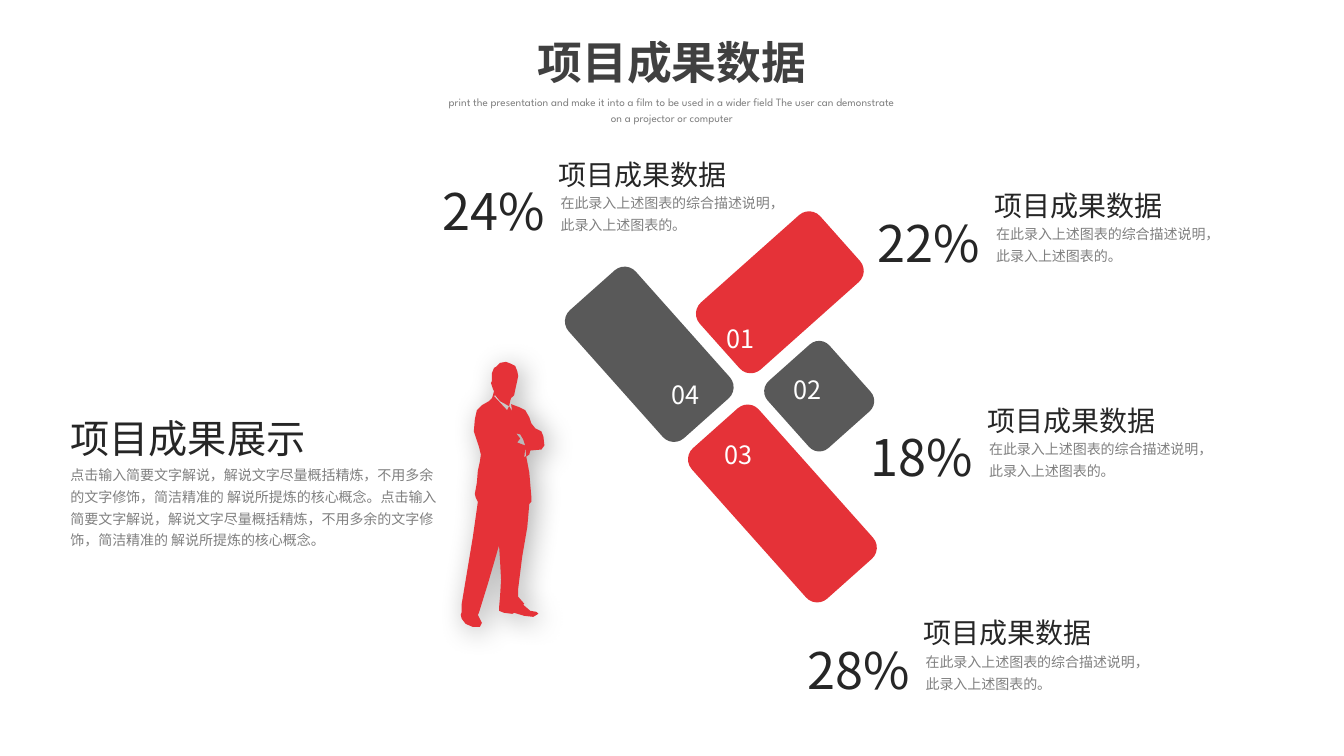
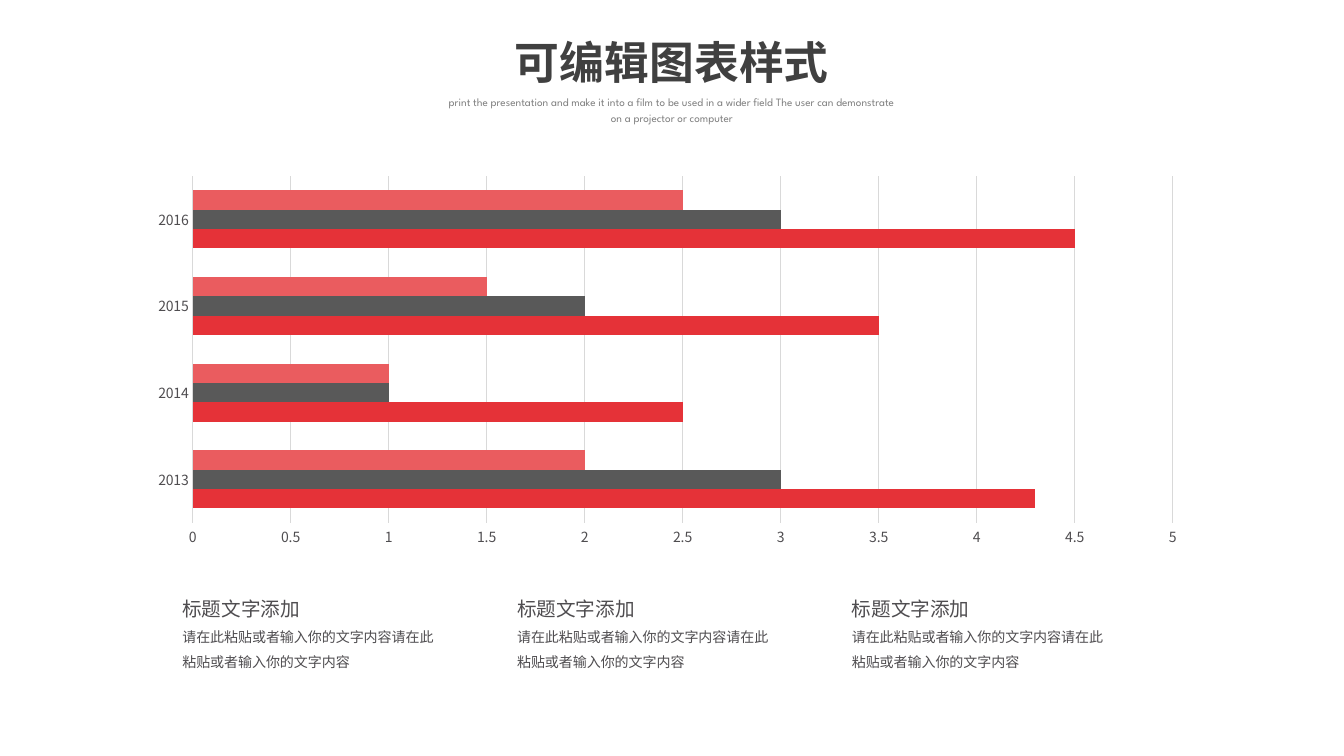
"""Build two slides of project results: a tile diagram and a bar chart."""
from lxml.etree import SubElement
from pptx import Presentation
from pptx.chart.data import CategoryChartData as ChartData
from pptx.dml.color import RGBColor
from pptx.enum.chart import XL_CHART_TYPE as ChartType, XL_TICK_MARK as Tick
from pptx.enum.shapes import MSO_SHAPE as Preset
from pptx.enum.text import MSO_ANCHOR as Anchor, MSO_AUTO_SIZE as AutoSize, PP_ALIGN as Align
from pptx.oxml.ns import qn
from pptx.util import Inches, Pt

COLORS = {
    "red": "E53238", "gray": "595959", "pink": "EA5C5F", "white": "FFFFFF",
    "title": "404040", "heading": "262626", "muted": "808080",
    "label": "4F4D50", "grid": "D9D9D9", "shadow": "000000",
}
CJK_FONT = "Noto Sans CJK SC"
TITLE_FONT = "League Spartan"
SUBTITLE = ("print the presentation and make it into a film to be used in a wider field "
            "The user can demonstrate on a projector or computer")

TILES = [
    (5.59, 3.07, 1.7, 0.89, "gray"),
    (6.76, 4.55, 2, 0.89, "red"),
    (7.29, 2.1, 0.89, 1.6, "red"),
    (7.68, 3.52, 0.89, 0.82, "gray"),
]
TILE_NUMBERS = [("01", 7.11, 3.07), ("02", 7.77, 3.57), ("03", 7.09, 4.22), ("04", 6.56, 3.62)]
CALLOUTS = [("24%", 4.29, 1.56), ("22%", 8.61, 1.87), ("18%", 8.54, 4), ("28%", 7.91, 6.11)]
CALLOUT_TITLE = "项目成果数据"
CALLOUT_TEXT = "在此录入上述图表的综合描述说明，此录入上述图表的。"
LEAD_TITLE = "项目成果展示"
LEAD_TEXT = ("点击输入简要文字解说，解说文字尽量概括精炼，不用多余的文字修饰，"
             "简洁精准的 解说所提炼的核心概念。点击输入简要文字解说，解说文字尽量概括精炼，"
             "不用多余的文字修饰，简洁精准的 解说所提炼的核心概念。")

FIGURE = [
    [(539, 433), (537, 428), (531, 425), (527, 420), (525, 414), (521, 407), (515, 404),
     (507, 401), (508, 408), (505, 403), (503, 407), (490, 393), (491, 392), (496, 398),
     (505, 403), (506, 398), (507, 395), (510, 392), (511, 387), (513, 378), (514, 373),
     (513, 368), (511, 363), (507, 361), (502, 359), (496, 360), (492, 364), (490, 365),
     (488, 370), (488, 378), (487, 380), (489, 386), (490, 388), (489, 392), (488, 395),
     (485, 398), (478, 402), (473, 407), (471, 416), (470, 428), (475, 443), (477, 451),
     (476, 458), (474, 467), (473, 479), (471, 490), (472, 494), (474, 498), (469, 533),
     (458, 599), (458, 607), (457, 610), (458, 614), (462, 619), (469, 622), (476, 622),
     (478, 618), (474, 610), (475, 608), (484, 579), (495, 541), (496, 556), (497, 575),
     (496, 592), (495, 603), (495, 606), (500, 608), (508, 609), (510, 608), (520, 611),
     (529, 612), (534, 609), (532, 607), (526, 606), (519, 600), (520, 599), (514, 592),
     (514, 584), (518, 552), (523, 523), (525, 500), (527, 498), (527, 492), (525, 469),
     (522, 453), (525, 451), (526, 447), (537, 446), (540, 442)],
    [(513, 439), (516, 435), (512, 430), (516, 431), (519, 436), (521, 442)],
    [(520, 454), (521, 444), (522, 452)],
]

YEARS = ["2013", "2014", "2015", "2016"]
SERIES = [
    ("Series 1", [4.3, 2.5, 3.5, 4.5], "red"),
    ("Series 2", [3, 1, 2, 3], "gray"),
    ("Series 3", [2, 1, 1.5, 2.5], "pink"),
]
NOTE_TITLE = "标题文字添加"
NOTE_TEXT = "请在此粘贴或者输入你的文字内容请在此粘贴或者输入你的文字内容"


class SlideMaker:
    """Hold the shared style and draw elements on the current slide."""

    def __init__(self):
        """Start an empty wide deck."""
        self.deck = Presentation()
        self.deck.slide_width, self.deck.slide_height = Inches(13.33), Inches(7.5)
        self.page = None

    def apply(self, target, values):
        """Set each attribute named in values on the target."""
        for name, value in values.items():
            setattr(target, name, value)

    def color(self, name):
        """Return a named colour."""
        return RGBColor.from_string(COLORS[name])

    def paint(self, shape, fill):
        """Give a shape a plain fill without line or shadow."""
        shape.fill.solid()
        shape.fill.fore_color.rgb = self.color(fill)
        shape.line.fill.background()
        shape.shadow.inherit = False

    def set_text(self, box, lines, spacing=1.3, align=Align.LEFT, inset=(0.1, 0.05),
                 bold=False, font=CJK_FONT):
        """Fill a box with lines of (text, size, colour)."""
        frame = box.text_frame
        side, edge = map(Inches, inset)
        self.apply(frame, {
            "word_wrap": True, "auto_size": AutoSize.NONE, "vertical_anchor": Anchor.TOP,
            "margin_left": side, "margin_right": side, "margin_top": edge, "margin_bottom": edge,
        })
        for index, (text, size, color) in enumerate(lines):
            para = frame.add_paragraph() if index else frame.paragraphs[0]
            self.apply(para, {"alignment": align, "line_spacing": spacing, "space_before": Pt(0)})
            span = para.add_run()
            span.text = text
            self.apply(span.font, {"name": font, "size": Pt(size), "bold": bold})
            span.font.color.rgb = self.color(color)
            SubElement(span.font._element, qn("a:ea"), typeface=CJK_FONT)

    def place(self, box, left, top, width, height):
        """Move and size a box, in inches."""
        self.apply(box, {"left": Inches(left), "top": Inches(top),
                         "width": Inches(width), "height": Inches(height)})

    def new_page(self, title):
        """Add a slide with its title and subtitle."""
        self.page = self.deck.slides.add_slide(self.deck.slide_layouts[1])
        heading, body = self.page.placeholders
        self.place(heading, 4.33, 0.29, 4.67, 0.64)
        self.set_text(heading, [(title, 32, "title")], 1, Align.CENTER,
                      bold=True, font=TITLE_FONT)
        self.place(body, 4.33, 0.87, 4.67, 0.42)
        props = body.text_frame.paragraphs[0]._p.get_or_add_pPr()
        props.set("marL", "0")
        props.set("indent", "0")
        SubElement(props, qn("a:buNone"))
        self.set_text(body, [(SUBTITLE, 8, "muted")], 1.2, Align.CENTER, font=TITLE_FONT)

    def text(self, left, top, width, height, lines, **style):
        """Add a text box."""
        box = self.page.shapes.add_textbox(*map(Inches, (left, top, width, height)))
        self.set_text(box, lines, **style)

    def tile(self, left, top, width, height, fill):
        """Add a tilted rounded tile."""
        shape = self.page.shapes.add_shape(
            Preset.ROUNDED_RECTANGLE, *map(Inches, (left, top, width, height)))
        shape.rotation = 48.3
        self.paint(shape, fill)

    def callout(self, percent, left, top):
        """Add a percentage with its heading and description."""
        self.text(left, top, 1.4, 0.81, [(percent, 36, "heading")])
        self.text(left + 1.25, top - 0.1, 2, 0.4, [(CALLOUT_TITLE, 20, "heading")], inset=(0, 0))
        self.text(left + 1.27, top + 0.32, 2.18, 0.42, [(CALLOUT_TEXT, 10, "muted")], inset=(0, 0))

    def figure(self, outlines, fill):
        """Draw closed outlines, in hundredths of an inch, with a soft shadow."""
        first, *holes = outlines
        builder = self.page.shapes.build_freeform(*first[0], scale=Inches(0.01))
        builder.add_line_segments(first[1:], close=True)
        for hole in holes:
            builder.move_to(*hole[0])
            builder.add_line_segments(hole[1:], close=True)
        shape = builder.convert_to_shape()
        self.paint(shape, fill)
        effects = shape._element.spPr.find(qn("a:effectLst"))
        shadow = SubElement(effects, qn("a:outerShdw"), blurRad=str(Pt(20)), dist=str(Pt(5)),
                            dir=str(45 * 60000), algn="tl", rotWithShape="0")
        tint = SubElement(shadow, qn("a:srgbClr"), val=COLORS["shadow"])
        SubElement(tint, qn("a:alpha"), val="30000")

    def bar_chart(self, left, top, width, height):
        """Add the clustered bar chart."""
        data = ChartData()
        data.categories = YEARS
        for name, values, _ in SERIES:
            data.add_series(name, values)
        chart = self.page.shapes.add_chart(
            ChartType.BAR_CLUSTERED, *map(Inches, (left, top, width, height)), data).chart
        self.apply(chart, {"has_title": False, "has_legend": False})
        self.apply(chart.font, {"name": CJK_FONT, "size": Pt(10)})
        chart.font.color.rgb = self.color("label")
        plot = chart.plots[0]
        self.apply(plot, {"gap_width": 150, "overlap": 0, "vary_by_categories": False})
        for series, (_, _, color) in zip(plot.series, SERIES):
            series.format.fill.solid()
            series.format.fill.fore_color.rgb = self.color(color)
        for axis in (chart.category_axis, chart.value_axis):
            self.apply(axis, {"major_tick_mark": Tick.NONE, "minor_tick_mark": Tick.NONE})
            axis.format.line.fill.background()
        self.apply(chart.value_axis, {"minimum_scale": 0, "maximum_scale": 5, "major_unit": 0.5,
                                      "has_major_gridlines": True})
        grid = chart.value_axis.major_gridlines.format.line
        grid.width = Pt(0.75)
        grid.color.rgb = self.color("grid")


def main():
    """Build and save the deck."""
    maker = SlideMaker()

    maker.new_page("项目成果数据")
    for tile in TILES:
        maker.tile(*tile)
    for number, left, top in TILE_NUMBERS:
        maker.text(left, top, 0.6, 0.46, [(number, 18, "white")])
    maker.figure(FIGURE, "red")
    for callout in CALLOUTS:
        maker.callout(*callout)
    maker.text(0.6, 3.92, 3.88, 1.5, [(LEAD_TITLE, 28, "heading"), (LEAD_TEXT, 10, "muted")])

    maker.new_page("可编辑图表样式")
    maker.bar_chart(1.36, 1.67, 10.52, 3.83)
    for column in range(3):
        left = 1.71 + 3.32 * column
        maker.text(left, 5.76, 2.2, 0.37, [(NOTE_TITLE, 14, "label")], spacing=1.5)
        maker.text(left, 6.1, 2.75, 0.62, [(NOTE_TEXT, 10, "label")], spacing=1.5)

    maker.deck.save("out.pptx")


if __name__ == "__main__":
    main()
